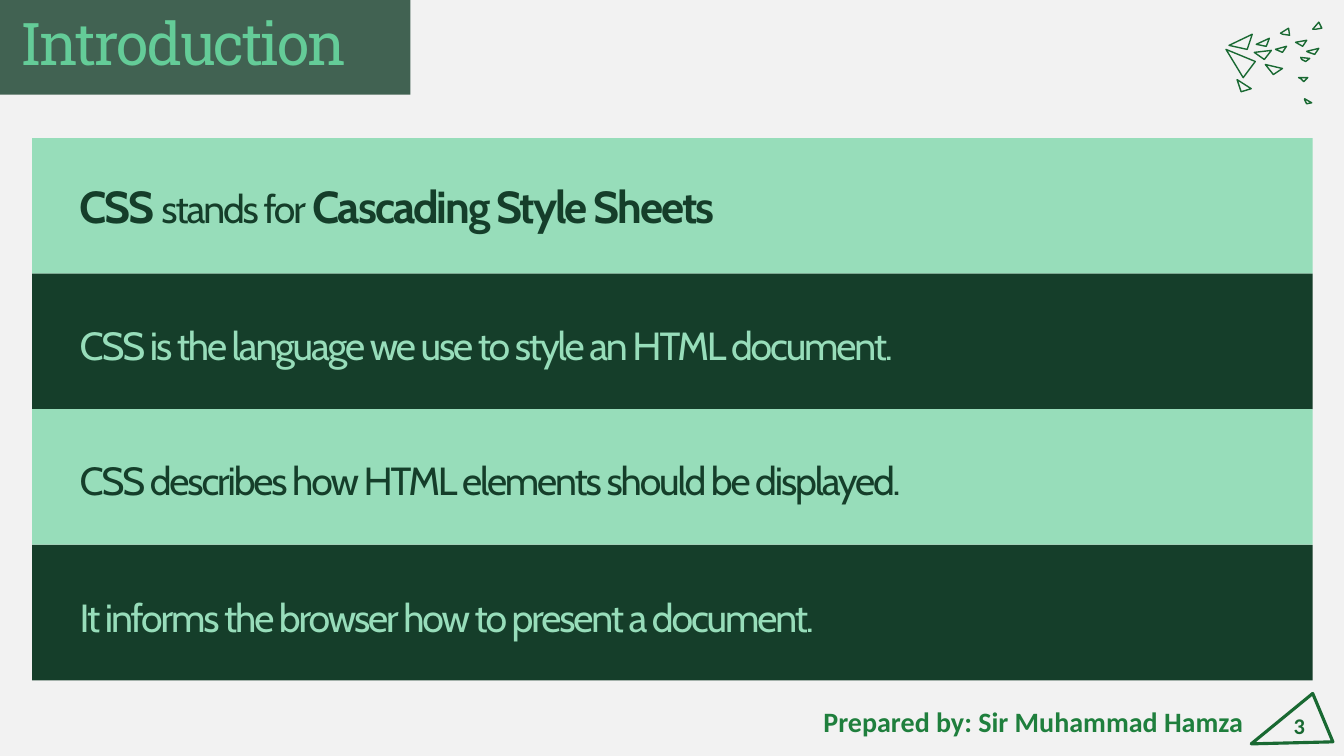
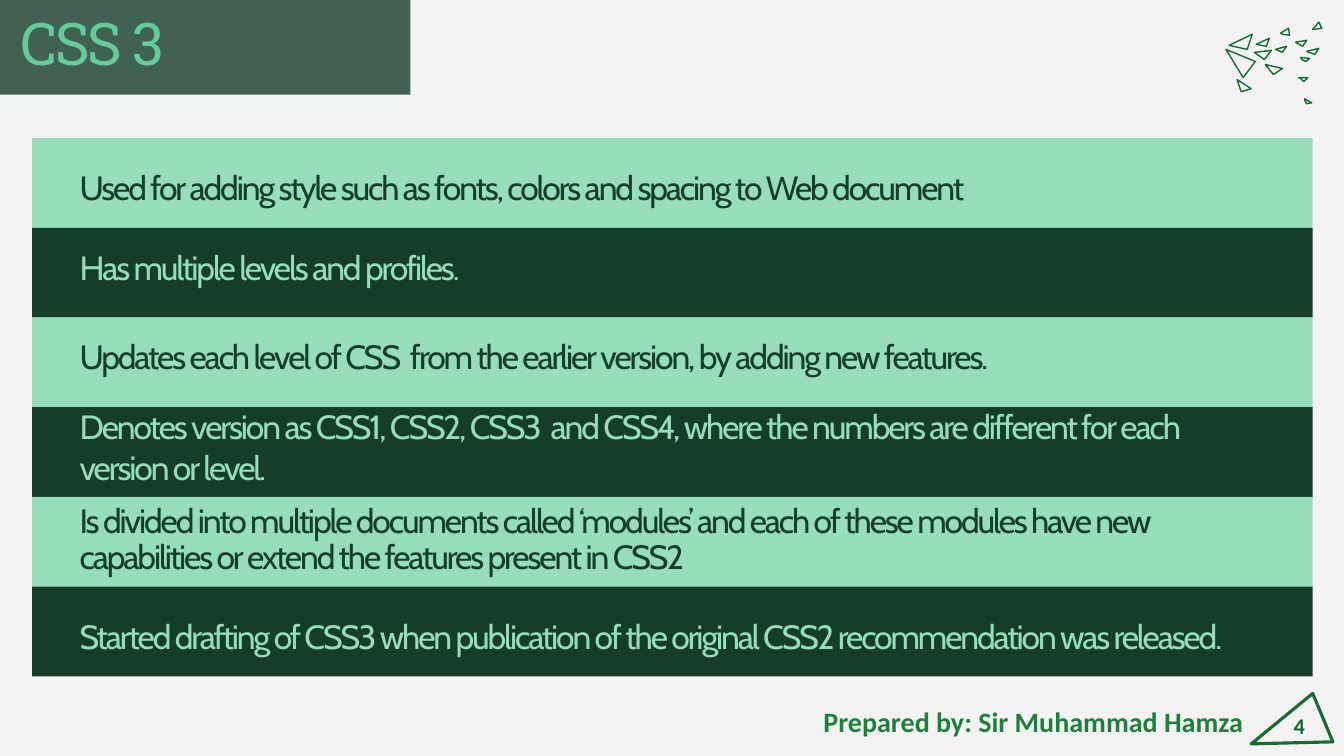
import pptx
import pptx.util
import pptx.dml.color
import pptx.enum.shapes
import pptx.enum.text
import pptx.oxml
import pptx.oxml.ns

Inches = pptx.util.Inches
Pt = pptx.util.Pt
RGBColor = pptx.dml.color.RGBColor
Align = pptx.enum.text.PP_ALIGN
Anchor = pptx.enum.text.MSO_ANCHOR

# Shared colours and fonts
PAPER = RGBColor(0xF2, 0xF2, 0xF2)
DARK = RGBColor(0x15, 0x3E, 0x2A)
MINT = RGBColor(0x97, 0xDD, 0xBA)
JADE = RGBColor(0x64, 0xCC, 0x98)
EDGE = RGBColor(0x19, 0x69, 0x32)
LEAF = RGBColor(0x1F, 0x7F, 0x3D)
HEAD, BODY, FOOT = "Roboto Slab", "Cabin", "Calibri"
TIGHT = -1.5

# Regions: left, top, width, height in inches
TITLE = (0, 0, 4.07, 0.94)
FLOCK = (12.15, 0.2, 0.97, 0.83)
FOOTER = (8, 6.88, 5.22, 0.6)

# Corners of the small triangles, measured from the flock's top left
SHARDS = [
    [(0.27, 0.14), (0.22, 0.29), (0.04, 0.25)],
    [(0.46, 0.3), (0.39, 0.39), (0.29, 0.32)],
    [(0.44, 0.18), (0.41, 0.26), (0.31, 0.24)],
    [(0.61, 0.26), (0.57, 0.32), (0.5, 0.29)],
    [(0.63, 0.08), (0.64, 0.15), (0.57, 0.14), (0.55, 0.13)],
    [(0.84, 0.38), (0.8, 0.41), (0.76, 0.39), (0.75, 0.37)],
    [(0.93, 0.02), (0.96, 0.08), (0.9, 0.09), (0.87, 0.09)],
    [(0.81, 0.2), (0.77, 0.26), (0.7, 0.22)],
    [(0.93, 0.28), (0.89, 0.34), (0.83, 0.32), (0.81, 0.31)],
    [(0.3, 0.41), (0.18, 0.57), (0.01, 0.29)],
    [(0.57, 0.48), (0.48, 0.54), (0.4, 0.44)],
    [(0.82, 0.57), (0.78, 0.61), (0.75, 0.58), (0.73, 0.57)],
    [(0.26, 0.68), (0.16, 0.71), (0.12, 0.59)],
    [(0.86, 0.82), (0.81, 0.83), (0.79, 0.79), (0.79, 0.78)],
]
BADGE = [(5.02, 0), (5.22, 0.48), (4.41, 0.5)]


def write(par, text, size, font, color, bold=False, space=0):
    """Add one run to a paragraph."""
    run = par.add_run()
    run.text = text
    run.font.size = Pt(size)
    run.font.name = font
    run.font.bold = bold
    run.font.color.rgb = color
    if space:
        run._r.get_or_add_rPr().set("spc", str(int(space * 100)))


def block(shapes, box, fill, side, base, lead):
    """Add a filled bar with text at its foot; return bar and paragraph."""
    kind = pptx.enum.shapes.MSO_SHAPE.RECTANGLE
    bar = shapes.add_shape(kind, *map(Inches, box))
    bar.shadow.inherit = False
    bar.fill.solid()
    bar.fill.fore_color.rgb = fill
    bar.line.fill.background()
    frame = bar.text_frame
    frame.word_wrap = True
    frame.vertical_anchor = Anchor.BOTTOM
    frame.margin_left = frame.margin_right = Inches(side)
    frame.margin_top, frame.margin_bottom = 0, Inches(base)
    par = frame.paragraphs[0]
    par.alignment = Align.LEFT
    par.line_spacing = lead
    return bar, par


def label(shapes, box, align, text, size, color):
    """Add a bold footer text."""
    frame = shapes.add_textbox(*map(Inches, box)).text_frame
    frame.word_wrap = True
    frame.vertical_anchor = Anchor.MIDDLE
    par = frame.paragraphs[0]
    par.alignment = align
    write(par, text, size, FOOT, color, bold=True)


def outline(shapes, left, top, dots, width):
    """Draw a closed, unfilled outline from corners relative to a point."""
    dots = [(Inches(left + x), Inches(top + y)) for x, y in dots]
    pen = shapes.build_freeform(*dots[0])
    pen.add_line_segments(dots[1:], close=True)
    shape = pen.convert_to_shape()
    shape.shadow.inherit = False
    shape.fill.background()
    shape.line.color.rgb = EDGE
    shape.line.width = Pt(width)


def title(slide, box, text):
    """Translucent title band."""
    bar, par = block(slide.shapes, box, DARK, 0.2, 0.16, 0.9)
    tint = bar.fill._xPr.find(".//" + pptx.oxml.ns.qn("a:srgbClr"))
    alpha = pptx.oxml.parse_xml(
        "<a:alpha %s val='80000'/>" % pptx.oxml.ns.nsdecls("a"))
    tint.append(alpha)
    write(par, text, 42, HEAD, JADE, space=TIGHT)


def flock(slide, box):
    """Scattered triangles in the corner."""
    group = slide.shapes.add_group_shape()
    for dots in SHARDS:
        outline(group.shapes, box[0], box[1], dots, 1)


def footer(slide, box, number):
    """Author line and page number in a triangle."""
    left, top = box[:2]
    label(slide.shapes, (left + 4.72, top + 0.04, 0.32, 0.55),
          Align.RIGHT, str(number), 16, EDGE)
    outline(slide.shapes, left, top, BADGE, 2.25)
    label(slide.shapes, (left, top + 0.08, 4.5, 0.4),
          Align.CENTER, "Prepared by: Sir Muhammad Hamza", 20, LEAF)


def bands(slide, box, size, rows):
    """Equal bands in alternating colours; a row is (base, lead, runs)."""
    left, top, width, height = box
    step = height / len(rows)
    group = slide.shapes.add_group_shape()
    for i, (base, lead, runs) in enumerate(rows):
        fill, ink = (DARK, MINT) if i % 2 else (MINT, DARK)
        spot = (left, top + i * step, width, step)
        par = block(group.shapes, spot, fill, 0.47, base, lead)[1]
        for text, bold in runs:
            write(par, text, size + 4 * bold, BODY, ink, bold, TIGHT)


def page(deck, number, head, box, size, rows):
    """One slide: title, corner art, bands and footer."""
    slide = deck.slides.add_slide(deck.slide_layouts[6])
    slide.background.fill.solid()
    slide.background.fill.fore_color.rgb = PAPER
    footer(slide, FOOTER, number)
    title(slide, TITLE, head)
    flock(slide, FLOCK)
    bands(slide, box, size, rows)


def plain(base, lead, text):
    """A band row with a single regular run."""
    return base, lead, [(text, False)]


INTRO = [
    (0.4, 0.9, [("CSS", True), (" stands for ", False),
                ("Cascading Style Sheets", True)]),
    plain(0.4, 0.9, "CSS is the language we use to style an HTML document."),
    plain(0.4, 0.9, "CSS describes how HTML elements should be displayed."),
    plain(0.4, 1.0, "It informs the browser how to present a document."),
]
LEVELS = [
    plain(0.2, 0.9, "Used for adding style such as fonts, colors and spacing "
          "to Web document"),
    plain(0.3, 0.9, "Has multiple levels and profiles."),
    plain(0.3, 0.9, "Updates each level of CSS  from the earlier version, "
          "by adding new features."),
    plain(0.1, 1.0, "Denotes version as CSS1, CSS2, CSS3  and CSS4, where the "
          "numbers are different for each version or level."),
    plain(0.1, 0.9, "Is divided into multiple documents called ‘modules’ and "
          "each of these modules have new capabilities or extend the "
          "features present in CSS2"),
    plain(0.2, 1.0, "Started drafting of CSS3 when publication of the "
          "original CSS2 recommendation was released."),
]


def main():
    deck = pptx.Presentation()
    deck.slide_width, deck.slide_height = Inches(13.33), Inches(7.5)
    page(deck, 3, "Introduction", (0.32, 1.37, 12.7, 5.38), 28, INTRO)
    page(deck, 4, "CSS 3", (0.32, 1.37, 12.7, 5.34), 24, LEVELS)
    deck.save("out.pptx")


if __name__ == "__main__":
    main()
